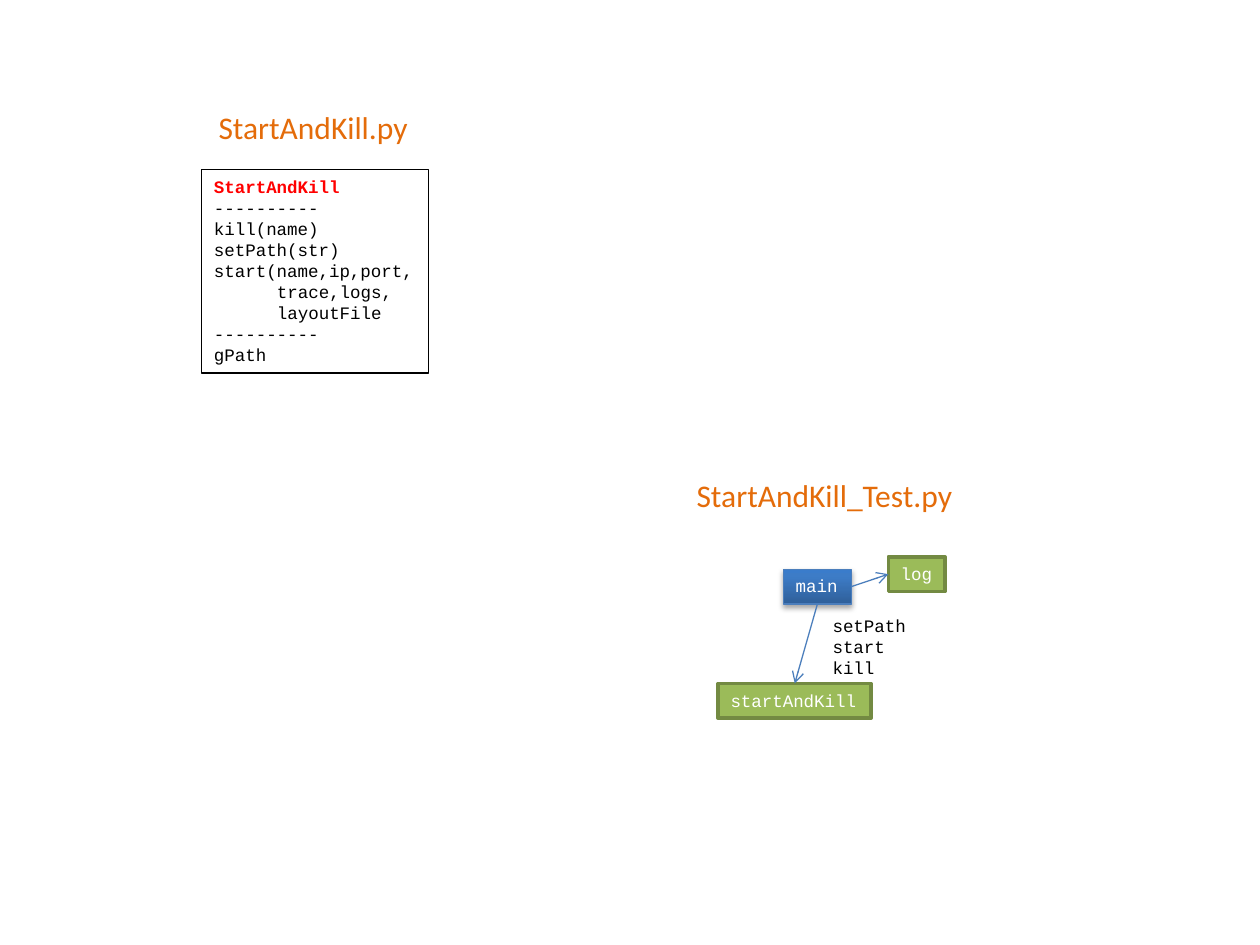
import lxml.etree
import pptx
import pptx.dml.color
import pptx.enum.shapes
import pptx.enum.text
import pptx.oxml
import pptx.oxml.ns
import pptx.util

CELL = pptx.util.Inches(0.1)
COLUMNS, ROWS = 100, 75
NAMESPACE = pptx.oxml.ns.nsdecls("a")
HEADING = {"name": "Calibri", "size": 18, "color": "E46C0A"}
CODE = {"name": "Courier New", "size": 10, "color": "000000"}
CLASS_NAME = CODE | {"color": "FF0000", "bold": True}
NODE = CODE | {"color": "FFFFFF"}
INDENT = pptx.util.Pt(36)
GREEN = {"fill": "9BBB59", "line": "738A42", "width": 2}
BLUE = "4B7EBC"
GRADIENT = ((0, "2F5F99"), (80, "3D7CC7"), (100, "3A7CCB"))


def color(value):
    """Turn a hex string into a colour."""
    return pptx.dml.color.RGBColor.from_string(value)


def place(box, left, top, width, height):
    """Return the part of a box given by shares of its size."""
    x, y, w, h = box
    return [round(v) for v in (x + left * w, y + top * h, width * w, height * h)]


def grid_box(*cells):
    """Return a box on the slide given in grid columns and rows."""
    return [round(cell * CELL) for cell in cells]


def write(shape, lines):
    """Fill a shape with lines of (text, format, indent)."""
    frame = shape.text_frame
    settings = {
        "word_wrap": False,
        "auto_size": pptx.enum.text.MSO_AUTO_SIZE.SHAPE_TO_FIT_TEXT,
        "vertical_anchor": pptx.enum.text.MSO_ANCHOR.TOP,
    }
    for name, value in settings.items():
        setattr(frame, name, value)
    for index, (text, style, indent) in enumerate(lines):
        paragraph = frame.add_paragraph() if index else frame.paragraphs[0]
        paragraph.alignment = pptx.enum.text.PP_ALIGN.LEFT
        if indent:
            paragraph._p.get_or_add_pPr().set("marL", str(indent))
        run = paragraph.add_run()
        run.text = text
        run.font.color.rgb = color(style["color"])
        values = {
            "name": style["name"],
            "size": pptx.util.Pt(style["size"]),
            "bold": style.get("bold", False),
        }
        for name, value in values.items():
            setattr(run.font, name, value)


def add_text(slide, box, lines):
    """Add a plain text box."""
    write(slide.shapes.add_textbox(*box), lines)


def add_rectangle(slide, box, lines, line, fill=None, width=0.75):
    """Add an outlined rectangle with text."""
    shape = slide.shapes.add_shape(pptx.enum.shapes.MSO_SHAPE.RECTANGLE, *box)
    shape.shadow.inherit = False
    if fill:
        shape.fill.solid()
        shape.fill.fore_color.rgb = color(fill)
    else:
        shape.fill.background()
    shape.line.color.rgb = color(line)
    shape.line.width = pptx.util.Pt(width)
    write(shape, lines)
    return shape


def add_depth(shape):
    """Give a filled shape the blue gradient and a soft shadow."""
    stops = "".join(
        f'<a:gs pos="{share * 1000}"><a:srgbClr val="{value}"/></a:gs>'
        for share, value in GRADIENT
    )
    gradient = pptx.oxml.parse_xml(
        f"<a:gradFill {NAMESPACE}><a:gsLst>{stops}</a:gsLst>"
        '<a:lin ang="16200000" scaled="0"/></a:gradFill>'
    )
    shadow = pptx.oxml.parse_xml(
        f'<a:outerShdw {NAMESPACE} blurRad="{pptx.util.Pt(3.1)}" '
        f'dist="{pptx.util.Pt(1.8)}" dir="5400000" rotWithShape="0">'
        '<a:srgbClr val="000000"><a:alpha val="35000"/></a:srgbClr></a:outerShdw>'
    )
    properties = shape._element.spPr
    solid = properties.find(pptx.oxml.ns.qn("a:solidFill"))
    properties.replace(solid, gradient)
    properties.find(pptx.oxml.ns.qn("a:effectLst")).append(shadow)


def add_arrow(slide, start, start_side, end, end_side):
    """Join two shapes with an open arrow."""
    connector = slide.shapes.add_connector(
        pptx.enum.shapes.MSO_CONNECTOR.STRAIGHT, 0, 0, 0, 0
    )
    connector.begin_connect(start, start_side)
    connector.end_connect(end, end_side)
    connector.line.color.rgb = color(BLUE)
    connector.line.width = pptx.util.Pt(0.75)
    properties = connector._element.spPr
    lxml.etree.SubElement(properties, pptx.oxml.ns.qn("a:effectLst"))
    outline = connector.line._get_or_add_ln()
    lxml.etree.SubElement(outline, pptx.oxml.ns.qn("a:tailEnd"), type="arrow")


def add_class_region(slide, box):
    """Draw the module heading and its class card."""
    add_text(slide, place(box, 0.02, 0, 0.96, 0.19), [("StartAndKill.py", HEADING, 0)])
    divider = ("----------", CODE, 0)
    lines = [
        ("StartAndKill", CLASS_NAME, 0),
        divider,
        ("kill(name)", CODE, 0),
        ("setPath(str)", CODE, 0),
        ("start(name,ip,port,", CODE, 0),
        ("trace,logs,", CODE, INDENT),
        ("layoutFile", CODE, INDENT),
        divider,
        ("gPath", CODE, 0),
    ]
    add_rectangle(slide, place(box, 0, 0.25, 1, 0.75), lines, "000000")


def add_test_region(slide, box):
    """Draw the test heading and its call diagram."""
    add_text(slide, place(box, 0, 0, 1, 0.2), [("StartAndKill_Test.py", HEADING, 0)])
    main_node = add_rectangle(
        slide, place(box, 0.35, 0.4, 0.24, 0.14), [("main", NODE, 0)], BLUE, BLUE
    )
    add_depth(main_node)
    log_node, class_node = (
        add_rectangle(slide, place(box, *shares), [(name, NODE, 0)], **GREEN)
        for name, shares in (
            ("log", (0.72, 0.35, 0.2, 0.14)),
            ("startAndKill", (0.12, 0.86, 0.54, 0.14)),
        )
    )
    add_arrow(slide, main_node, 3, log_node, 1)
    add_arrow(slide, main_node, 2, class_node, 0)
    calls = [(name, CODE, 0) for name in ("setPath", "start", "kill")]
    add_text(slide, place(box, 0.48, 0.56, 0.35, 0.31), calls)


def main():
    """Build and save the slide."""
    presentation = pptx.Presentation()
    presentation.slide_width = COLUMNS * CELL
    presentation.slide_height = ROWS * CELL
    slide = presentation.slides.add_slide(presentation.slide_layouts[6])
    add_class_region(slide, grid_box(16, 8.1, 18, 21.5))
    add_test_region(slide, grid_box(54.3, 37.3, 22.5, 19.7))
    presentation.save("out.pptx")


if __name__ == "__main__":
    main()
